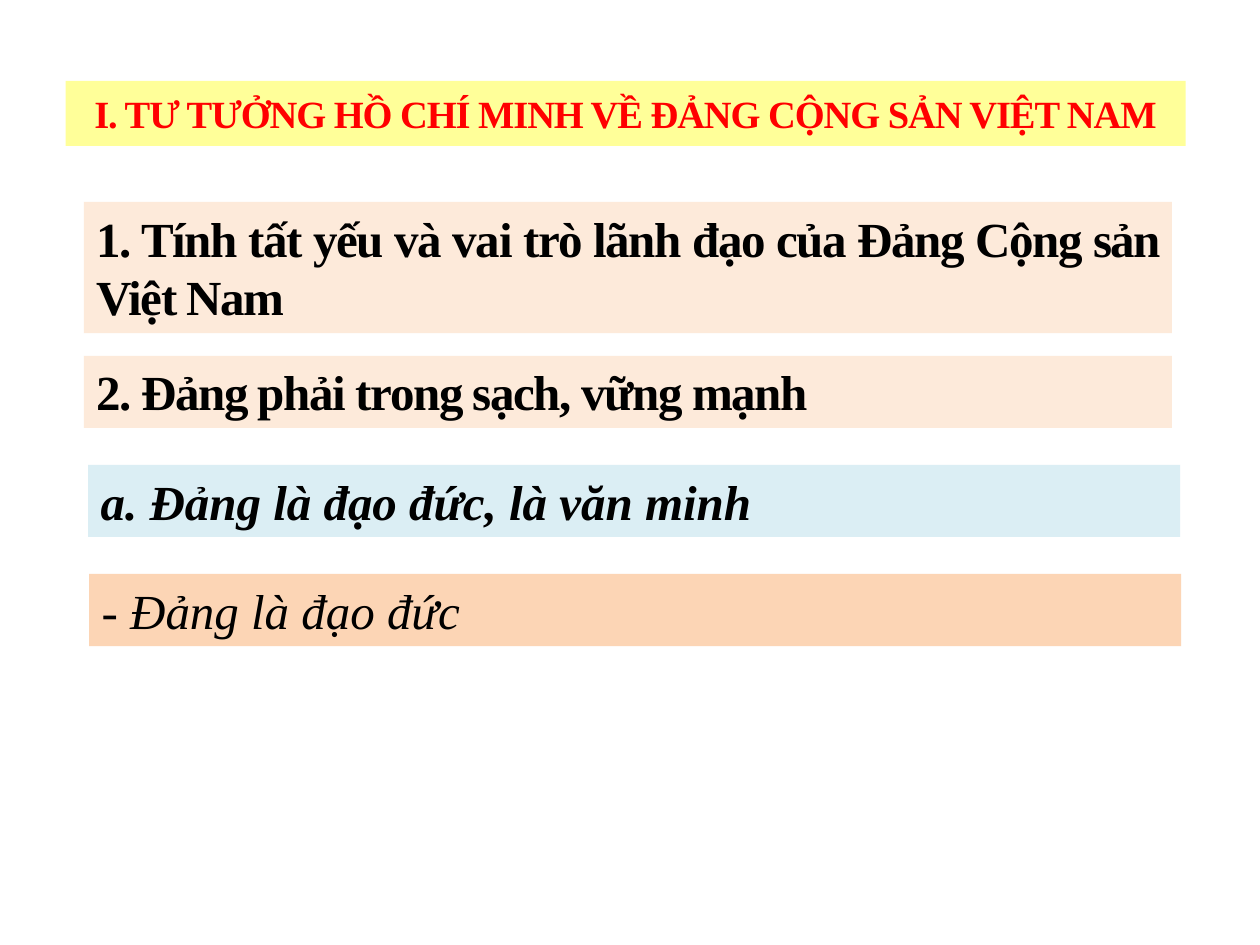
"""Build the slide on Hồ Chí Minh's thought about the Communist Party of Vietnam."""
from pptx import Presentation
from pptx.dml.color import RGBColor
from pptx.enum.text import MSO_ANCHOR as ANCHOR, MSO_AUTO_SIZE as AUTO, PP_ALIGN as ALIGN
from pptx.util import Pt

FONT = "Times New Roman"
COLORS = {
    "title_bg": "FFFF99",
    "title_text": "FF0000",
    "section_bg": "FDEADA",
    "part_bg": "DBEEF4",
    "point_bg": "FCD5B5",
    "text": "000000",
}
SECTION = {"fill": "section_bg", "bold": True, "align": ALIGN.JUSTIFY, "spacing": -0.8}
LINE_HEIGHT = 41.2


def color(name):
    return RGBColor.from_string(COLORS[name])


def add_bar(slide, text, box, fill, size=28, ink="text", bold=False, italic=False,
            align=ALIGN.LEFT, spacing=0):
    s = slide.shapes.add_textbox(*(Pt(v) for v in box))
    s.fill.solid()
    s.fill.fore_color.rgb = color(fill)
    tf = s.text_frame
    tf.word_wrap = True
    tf.auto_size = AUTO.SHAPE_TO_FIT_TEXT
    p = tf.paragraphs[0]
    p.alignment = align
    r = p.add_run()
    r.text = text
    if spacing:
        r._r.get_or_add_rPr().set("spc", str(round(spacing * 100)))
    font = p.font
    font.name, font.size, font.bold, font.italic = FONT, Pt(size), bold, italic
    font.color.rgb = color(ink)
    return tf


def add_title(slide, text):
    tf = add_bar(slide, text, (37.5, 46.2, 640, 37.2), "title_bg", size=22,
                 ink="title_text", bold=True, align=ALIGN.CENTER, spacing=-0.6)
    tf.word_wrap = False
    tf.auto_size = AUTO.NONE
    tf.vertical_anchor = ANCHOR.MIDDLE


def main():
    prs = Presentation()
    prs.slide_width, prs.slide_height = Pt(720), Pt(540)
    slide = prs.slides.add_slide(prs.slide_layouts[6])
    add_title(slide, "I. TƯ TƯỞNG HỒ CHÍ MINH VỀ ĐẢNG CỘNG SẢN VIỆT NAM")
    add_bar(slide, "1. Tính tất yếu và vai trò lãnh đạo của Đảng Cộng sản Việt Nam",
            (48, 115.4, 621.6, 75), **SECTION)
    add_bar(slide, "2. Đảng phải trong sạch, vững mạnh",
            (48, 203.3, 621.6, LINE_HEIGHT), **SECTION)
    add_bar(slide, "a. Đảng là đạo đức, là văn minh",
            (50.4, 265.6, 624, LINE_HEIGHT), "part_bg", bold=True, italic=True)
    add_bar(slide, "- Đảng là đạo đức",
            (51, 328, 624, LINE_HEIGHT), "point_bg", italic=True)
    prs.save("out.pptx")


if __name__ == "__main__":
    main()
